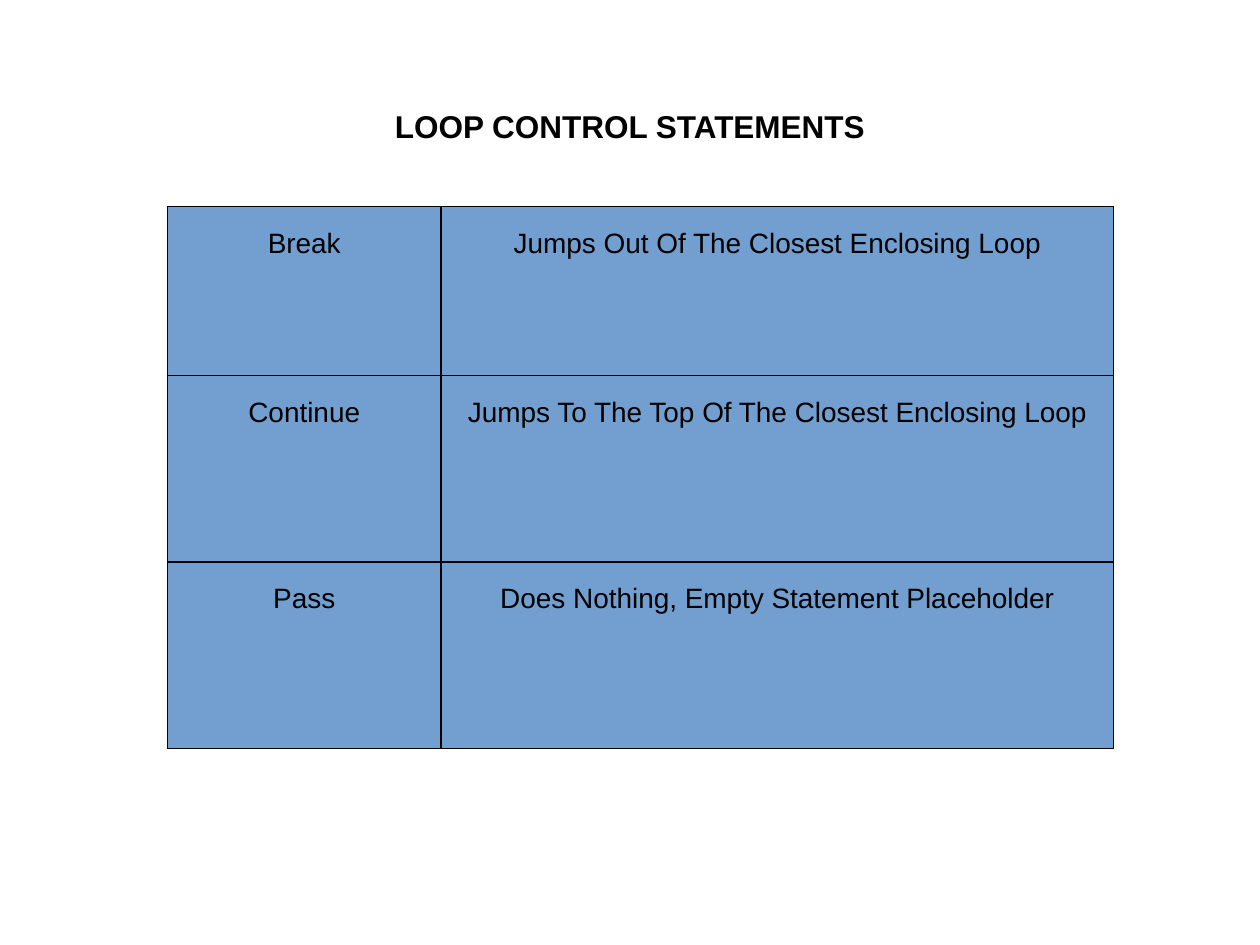
import pptx
import pptx.dml.color
import pptx.enum.text
import pptx.oxml
import pptx.oxml.ns
import pptx.util

BLACK = pptx.dml.color.RGBColor(0x00, 0x00, 0x00)
BLUE = pptx.dml.color.RGBColor(0x72, 0x9F, 0xCF)

SLIDE_WIDTH = pptx.util.Inches(10)
SLIDE_HEIGHT = pptx.util.Inches(7.5)

COLUMN_WIDTHS = [2.17, 5.34]
ROW_HEIGHTS = [1.34, 1.48, 1.48]
STATEMENTS = [
    ("Break", "Jumps Out Of The Closest Enclosing Loop"),
    ("Continue", "Jumps To The Top Of The Closest Enclosing Loop"),
    ("Pass", "Does Nothing, Empty Statement Placeholder"),
]


def write_text(text_frame, text, size, bold=False):
    paragraph = text_frame.paragraphs[0]
    paragraph.text = text
    paragraph.alignment = pptx.enum.text.PP_ALIGN.CENTER
    paragraph.line_spacing = 1.5
    paragraph.font.name = "Arial"
    paragraph.font.size = pptx.util.Pt(size)
    paragraph.font.bold = bold
    paragraph.font.color.rgb = BLACK


def add_title(slide, text):
    left, right = int(SLIDE_WIDTH * 0.05), int(SLIDE_WIDTH * 0.95)
    top = int(SLIDE_HEIGHT * 0.04)
    bottom = top + pptx.util.Inches(1.25)
    builder = slide.shapes.build_freeform(left, top)
    builder.add_line_segments([(right, top), (right, bottom), (left, bottom)])
    shape = builder.convert_to_shape()
    shape.shadow.inherit = False
    shape.fill.background()
    shape.line.fill.background()
    text_frame = shape.text_frame
    text_frame.word_wrap = True
    text_frame.vertical_anchor = pptx.enum.text.MSO_ANCHOR.MIDDLE
    text_frame.margin_left = text_frame.margin_right = pptx.util.Inches(0.09)
    text_frame.margin_top = text_frame.margin_bottom = pptx.util.Inches(0.04)
    write_text(text_frame, text, 18, bold=True)


def add_borders(cell):
    # Border lines come before the fill in the cell properties
    properties = cell._tc.get_or_add_tcPr()
    for index, side in enumerate(("lnL", "lnR", "lnT", "lnB")):
        line = pptx.oxml.parse_xml(
            f'<a:{side} {pptx.oxml.ns.nsdecls("a")} w="{pptx.util.Pt(0.75)}">'
            f'<a:solidFill><a:srgbClr val="{BLACK}"/></a:solidFill></a:{side}>')
        properties.insert(index, line)


def add_statement_table(slide):
    frame = slide.shapes.add_table(
        len(ROW_HEIGHTS), len(COLUMN_WIDTHS),
        pptx.util.Inches(1.33), pptx.util.Inches(1.64),
        pptx.util.Inches(sum(COLUMN_WIDTHS)), pptx.util.Inches(sum(ROW_HEIGHTS)))
    table = frame.table
    table.first_row = False
    table.horz_banding = False
    for column, width in zip(table.columns, COLUMN_WIDTHS):
        column.width = pptx.util.Inches(width)
    for row, height, texts in zip(table.rows, ROW_HEIGHTS, STATEMENTS):
        row.height = pptx.util.Inches(height)
        for cell, text in zip(row.cells, texts):
            cell.fill.solid()
            cell.fill.fore_color.rgb = BLUE
            cell.margin_left = cell.margin_right = pptx.util.Inches(0.09)
            cell.margin_top = cell.margin_bottom = pptx.util.Inches(0.05)
            write_text(cell.text_frame, text, 16)
            add_borders(cell)


def main():
    presentation = pptx.Presentation()
    presentation.slide_width = SLIDE_WIDTH
    presentation.slide_height = SLIDE_HEIGHT
    slide = presentation.slides.add_slide(presentation.slide_layouts[6])

    # Heading, then the table of statements
    add_title(slide, "LOOP CONTROL STATEMENTS")
    add_statement_table(slide)

    presentation.save("out.pptx")


if __name__ == "__main__":
    main()
